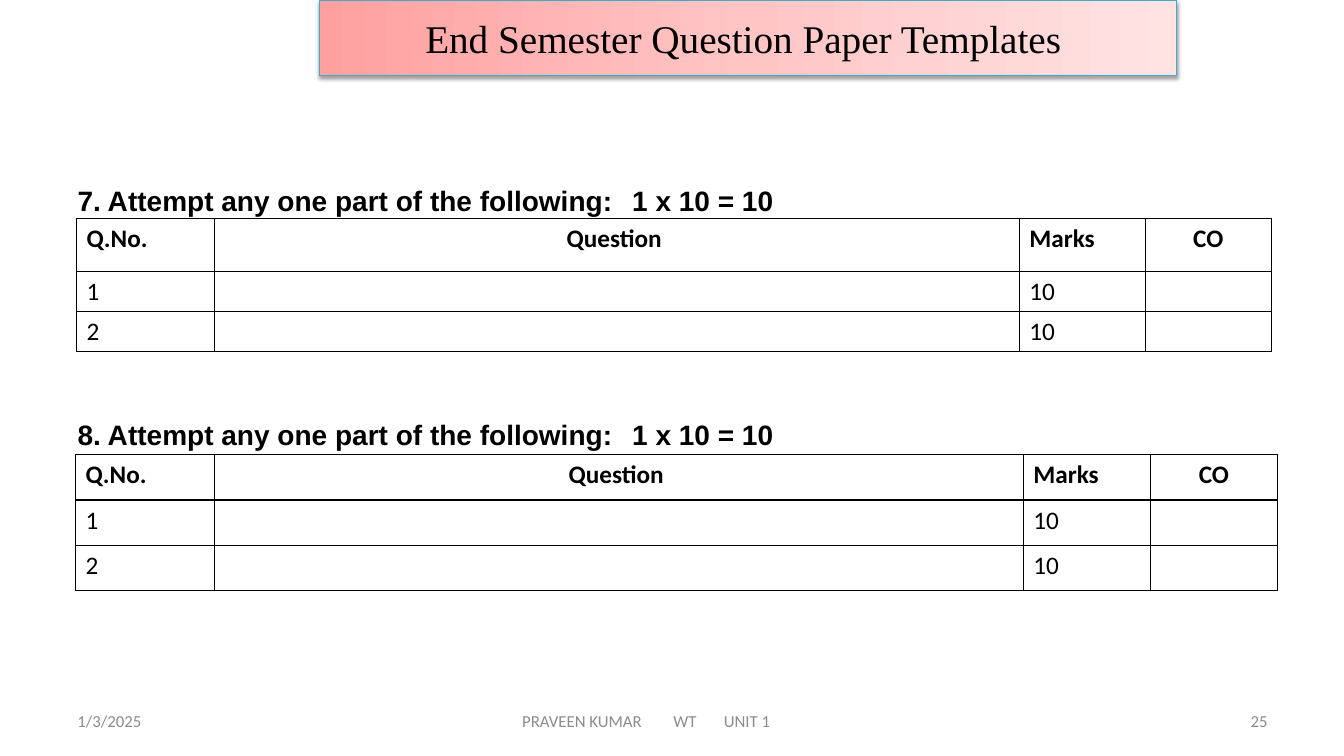
from lxml import etree
from pptx import Presentation
from pptx import util as u
from pptx.dml.color import RGBColor
from pptx.enum import text
from pptx.oxml import parse_xml
from pptx.oxml.ns import nsdecls, qn

TITLE = "End Semester Question Paper Templates "
HEADINGS = ["7. Attempt any one part of the following:\t1 x 10 = 10",
            "8. Attempt any one part of the following:\t1 x 10 = 10"]
ROWS = [("Q.No.", "Question ", "Marks", "CO"),
        ("1", "", "10", ""),
        ("2", "", "10", "")]
CENTRED_COLUMNS = (1, 3)
# left, top, column widths, row heights
TABLES = [(0.76, 2.17, (1.37, 7.98, 1.25, 1.25), (0.52, 0.4, 0.4)),
          (0.75, 4.51, (1.38, 8.02, 1.26, 1.26), (0.45, 0.45, 0.45))]
LEFT, CENTRE, RIGHT = text.PP_ALIGN.LEFT, text.PP_ALIGN.CENTER, text.PP_ALIGN.RIGHT
# text, left, width, alignment, indent, tab stops
FOOTERS = [("1/3/2025", 0.67, 3.11, LEFT, 0, ()),
           ("PRAVEEN KUMAR\tWT\tUNIT 1", 4.56, 4.22, LEFT, 0.52, (2.16, 3.02)),
           ("25", 9.56, 3.11, RIGHT, 0, ())]
GRADIENT = [(0, "FFA0A0"), (50, "FFC5C5"), (100, "FFE3E3")]
BLACK, WHITE, GREY, TEAL = "000000", "FFFFFF", "8C8C8C", "46AAC5"


def rgb(value):
    return RGBColor.from_string(value)


def place(sp, left, top, width, height):
    sp.left, sp.top, sp.width, sp.height = map(u.Inches, (left, top, width, height))


def style(p, font, size, color, bold=False, align=LEFT):
    p.alignment = align
    for r in p.runs:
        r.font.name, r.font.size, r.font.bold = font, u.Pt(size), bold
        r.font.color.rgb = rgb(color)


def set_indent(p, indent, tabs):
    """Set a plain left indent without bullet, and tab stops in inches."""
    pPr = p._p.get_or_add_pPr()
    pPr.set("marL", str(u.Inches(indent)))
    pPr.set("indent", "0")
    etree.SubElement(pPr, qn("a:buNone"))
    if tabs:
        stops = etree.SubElement(pPr, qn("a:tabLst"))
        for tab in tabs:
            etree.SubElement(stops, qn("a:tab"), pos=str(u.Inches(tab)), algn="l")


def add_title(slide):
    sp = slide.shapes.title
    place(sp, 3.17, 0, 8.5, 0.75)
    stops = "".join(f'<a:gs pos="{pos * 1000}"><a:srgbClr val="{color}"/></a:gs>'
                    for pos, color in GRADIENT)
    spPr = sp._element.spPr
    spPr.append(parse_xml(f'<a:gradFill {nsdecls("a")}><a:gsLst>{stops}</a:gsLst>'
                          '<a:lin ang="0" scaled="0"/></a:gradFill>'))
    sp.line.color.rgb = rgb(TEAL)
    sp.line.width = u.Pt(0.75)
    spPr.append(parse_xml(
        f'<a:effectLst {nsdecls("a")}><a:outerShdw blurRad="{u.Pt(3.1)}" '
        f'dist="{u.Pt(1.6)}" dir="5400000" rotWithShape="0"><a:srgbClr val="{BLACK}">'
        '<a:alpha val="38000"/></a:srgbClr></a:outerShdw></a:effectLst>'))
    tf = sp.text_frame
    tf.text = TITLE
    tf.auto_size = text.MSO_AUTO_SIZE.NONE
    tf.vertical_anchor = text.MSO_ANCHOR.MIDDLE
    style(tf.paragraphs[0], "Times New Roman", 28, BLACK, align=CENTRE)


def add_headings(slide):
    sp = slide.placeholders[1]
    place(sp, 0.67, 1.77, 12, 4.93)
    tf = sp.text_frame
    tf.text = "\n".join(HEADINGS)
    tf.auto_size = text.MSO_AUTO_SIZE.NONE
    for i, p in enumerate(tf.paragraphs):
        set_indent(p, 0, (7.3,))
        p.space_before = u.Pt(143 * i)
        style(p, "Arial", 20, BLACK, bold=True)


def add_borders(cell):
    tcPr = cell._tc.get_or_add_tcPr()
    for i, side in enumerate(("lnL", "lnR", "lnT", "lnB")):
        tcPr.insert(i, parse_xml(
            f'<a:{side} {nsdecls("a")} w="{u.Pt(1)}"><a:solidFill>'
            f'<a:srgbClr val="{BLACK}"/></a:solidFill></a:{side}>'))


def add_question_table(slide, left, top, widths, heights):
    frame = slide.shapes.add_table(len(heights), len(widths), *map(
        u.Inches, (left, top, sum(widths), sum(heights))))
    table = frame.table
    table.first_row = table.horz_banding = False
    for column, width in zip(table.columns, widths):
        column.width = u.Inches(width)
    for i, (row, height) in enumerate(zip(table.rows, heights)):
        row.height = u.Inches(height)
        for j, cell in enumerate(row.cells):
            cell.text = ROWS[i][j]
            cell.fill.solid()
            cell.fill.fore_color.rgb = rgb(WHITE)
            add_borders(cell)
            style(cell.text_frame.paragraphs[0], "Calibri", 18, BLACK, bold=i == 0,
                  align=CENTRE if j in CENTRED_COLUMNS else LEFT)


def add_footer(slide, words, left, width, align, indent, tabs):
    sp = slide.shapes.add_textbox(*map(u.Inches, (left, 6.95, width, 0.4)))
    tf = sp.text_frame
    tf.word_wrap = True
    tf.vertical_anchor = text.MSO_ANCHOR.MIDDLE
    tf.text = words
    p = tf.paragraphs[0]
    set_indent(p, indent, tabs)
    style(p, "Calibri", 12, GREY, align=align)


def main():
    prs = Presentation()
    prs.slide_width, prs.slide_height = u.Inches(13.33), u.Inches(7.5)
    slide = prs.slides.add_slide(prs.slide_layouts[1])
    for footer in FOOTERS:
        add_footer(slide, *footer)
    add_title(slide)
    add_headings(slide)
    for table in TABLES:
        add_question_table(slide, *table)
    prs.save("out.pptx")


if __name__ == "__main__":
    main()
